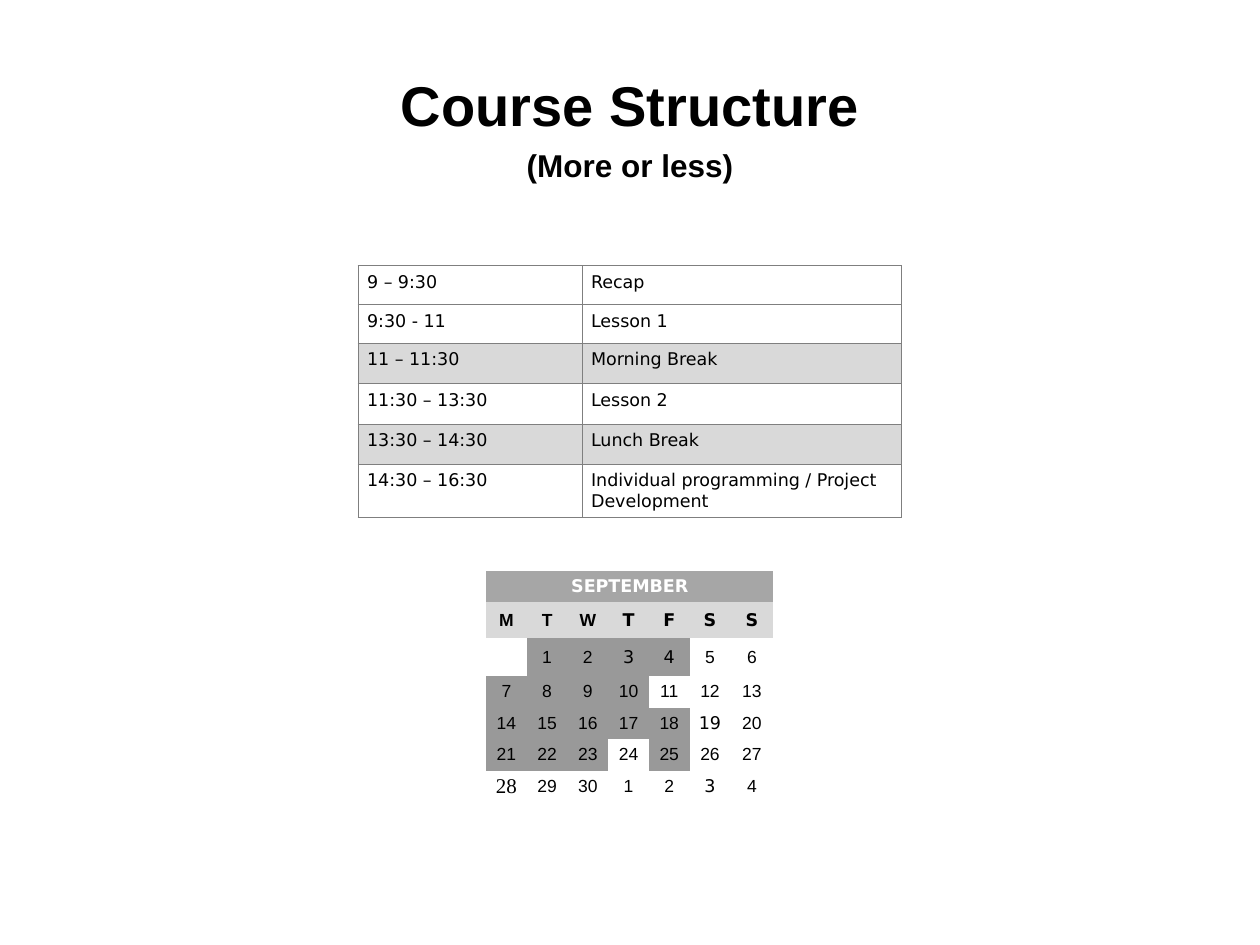
"""Build the course structure slide with its daily schedule and month calendar."""
import pptx
import pptx.dml.color
import pptx.enum.text
import pptx.oxml
import pptx.oxml.ns
import pptx.util
from pptx.util import Pt

ALIGN = pptx.enum.text.PP_ALIGN
MIDDLE = pptx.enum.text.MSO_ANCHOR.MIDDLE
NO_STYLE = "{2D5ABB26-0587-4C30-8999-92F81FD0307C}"


def color(value):
    """Turn a hex string into a colour."""
    return pptx.dml.color.RGBColor.from_string(value)


def write(frame, text, size, font, ink="000000", bold=False, align=ALIGN.CENTER):
    """Put one formatted run into a text frame and return its paragraph."""
    para = frame.paragraphs[0]
    para.alignment = align
    span = para.add_run()
    span.text = text
    span.font.size = Pt(size)
    span.font.name = font
    span.font.bold = bold
    span.font.color.rgb = color(ink)
    return para


deck = pptx.Presentation()
deck.slide_width, deck.slide_height = Pt(720), Pt(540)
page = deck.slides.add_slide(deck.slide_layouts[1])

headings = [
    (page.shapes.title, "Course Structure", 32, 37.5, 44, MIDDLE),
    (page.placeholders[1], "(More or less)", 18, 83.5, 28, pptx.enum.text.MSO_ANCHOR.TOP),
]
for box, text, size, top, height, anchor in headings:
    box.left, box.top, box.width, box.height = Pt(36), Pt(top), Pt(648), Pt(height)
    frame = box.text_frame
    frame.margin_left = frame.margin_right = frame.margin_top = frame.margin_bottom = 0
    frame.vertical_anchor = anchor
    frame.auto_size = pptx.enum.text.MSO_AUTO_SIZE.NONE
    para = write(frame, text, size, "Arial", bold=True)

para.space_before = Pt(3.6)
props = para._p.get_or_add_pPr()
props.set("marL", "0")
props.set("indent", "0")
props.append(pptx.oxml.parse_xml(f'<a:buNone {pptx.oxml.ns.nsdecls("a")}/>'))

schedule = [
    ("9 – 9:30", "Recap"),
    ("9:30 - 11", "Lesson 1"),
    ("11 – 11:30", "Morning Break"),
    ("11:30 – 13:30", "Lesson 2"),
    ("13:30 – 14:30", "Lunch Break"),
    ("14:30 – 16:30", "Individual programming / Project Development"),
]
days = [""] + [str(day) for day in range(1, 31)] + ["1", "2", "3", "4"]
weeks = [days[start:start + 7] for start in range(0, 35, 7)]
calendar = [["SEPTEMBER"] + [""] * 6, list("MTWTFSS")] + weeks
course_days = set(range(1, 26)) - {5, 6, 11, 12, 13, 19, 20, 24}
dejavu_cells = {(0, 0), (1, 3), (1, 4), (1, 5), (1, 6), (2, 3), (2, 4), (4, 5), (6, 5)}

grids = [
    (204.6, 151.9, [128, 182.4], [22.2, 22.2, 23, 23, 23, 30.6]),
    (277.7, 326.3, [23.3] * 6 + [24.6], [17.8, 20.6, 21.7, 18, 18, 18, 18]),
]
tables = []
for left, top, widths, heights in grids:
    graphic = page.shapes.add_table(
        len(heights), len(widths), Pt(left), Pt(top), Pt(sum(widths)), Pt(sum(heights)))
    table = graphic.table
    table.first_row = table.horz_banding = False
    table._tbl.tblPr.find(pptx.oxml.ns.qn("a:tableStyleId")).text = NO_STYLE
    for column, width in zip(table.columns, widths):
        column.width = Pt(width)
    for row, height in zip(table.rows, heights):
        row.height = Pt(height)
    tables.append(table)
schedule_table, calendar_table = tables

for row, entries in enumerate(schedule):
    for column, text in enumerate(entries):
        cell = schedule_table.cell(row, column)
        cell.margin_left = cell.margin_right = Pt(5.2)
        cell.margin_top = cell.margin_bottom = Pt(3.6)
        para = write(cell.text_frame, text, 10, "DejaVu Sans", align=ALIGN.LEFT)
        para.space_before = para.space_after = Pt(3)
        for side in ("lnL", "lnR", "lnT", "lnB"):
            cell._tc.get_or_add_tcPr().append(pptx.oxml.parse_xml(
                f'<a:{side} {pptx.oxml.ns.nsdecls("a")} w="6350"><a:solidFill>'
                f'<a:srgbClr val="7F7F7F"/></a:solidFill></a:{side}>'))
        cell.fill.solid()
        cell.fill.fore_color.rgb = color("D9D9D9" if "Break" in entries[1] else "FFFFFF")

calendar_table.cell(0, 0).merge(calendar_table.cell(0, 6))
for row, entries in enumerate(calendar):
    for column, text in enumerate(entries):
        cell = calendar_table.cell(row, column)
        cell.margin_left = cell.margin_right = Pt(3.6)
        cell.margin_top = cell.margin_bottom = Pt(0.7)
        cell.vertical_anchor = MIDDLE
        font = "DejaVu Sans" if (row, column) in dejavu_cells else "Arial"
        size = 10
        if text == "28":
            font, size = "Times New Roman", 12
        write(cell.text_frame, text, size, font, "000000" if row else "FFFFFF", row < 2)
        if row < 2:
            fill = ("A6A6A6", "D9D9D9")[row]
        else:
            taught = row < 6 and text and int(text) in course_days
            fill = "999999" if taught else "FFFFFF"
        cell.fill.solid()
        cell.fill.fore_color.rgb = color(fill)

deck.save("out.pptx")
